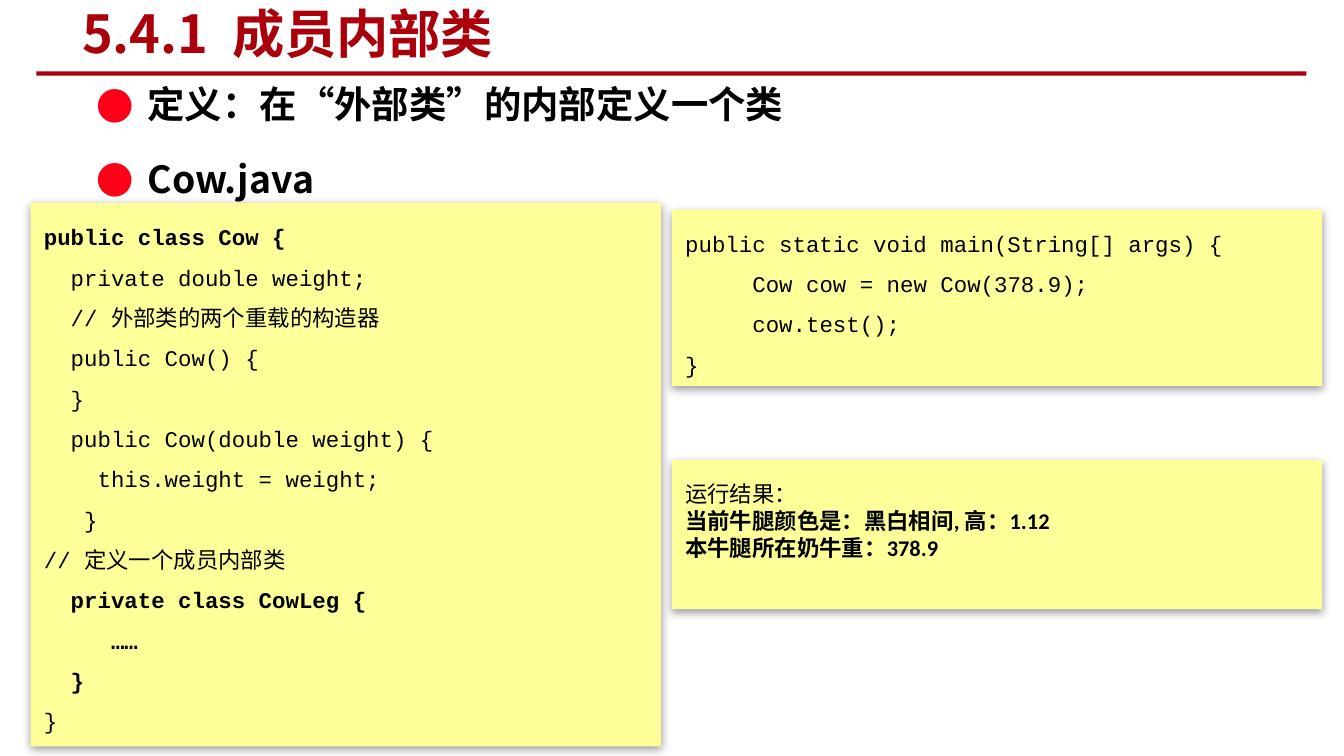
"""Builds the slide on member inner classes in Java."""
from lxml import etree
from pptx import Presentation
from pptx import util as u
from pptx.dml.color import RGBColor
from pptx.enum import shapes, text
from pptx.oxml.ns import qn

COLORS = {"accent": "AA000B", "bullet": "FF0019", "panel": "FFFF99", "ink": "000000"}
SANS, MONO, LATIN = "Noto Sans CJK SC", "Courier New", "Calibri"

TITLE = "5.4.1  成员内部类"
POINTS = ["定义：在“外部类”的内部定义一个类", "Cow.java"]
BOLD = {"bold": True}
COW_CLASS = [
    ("public class Cow {", BOLD),
    ("  private double weight;", {}),
    ("  // 外部类的两个重载的构造器", {}),
    ("  public Cow() {", {}),
    ("  }", {}),
    ("  public Cow(double weight) {", {}),
    ("    this.weight = weight;", {}),
    ("   }", {}),
    ("// 定义一个成员内部类", {}),
    ("  private class CowLeg {", BOLD),
    ("\t……", BOLD),
    ("  }", BOLD),
    ("}", {}),
]
MAIN_METHOD = [
    ("public static void main(String[] args) {", {}),
    ("\tCow cow = new Cow(378.9);", {}),
    ("\tcow.test();", {}),
    ("}", {}),
]
RESULT_FORMAT = {"font": LATIN, "bold": True, "spacing": 1.0}
RESULT = [
    ("运行结果：", {}),
    ("当前牛腿颜色是：黑白相间, 高：1.12", RESULT_FORMAT),
    ("本牛腿所在奶牛重：378.9", RESULT_FORMAT),
]
PANELS = [
    ((0.58, 3.84, 11.91, 10.26), COW_CLASS),
    ((12.7, 3.96, 12.29, 3.33), MAIN_METHOD),
    ((12.7, 8.69, 12.29, 2.82), RESULT),
]


def cm(box):
    return [u.Cm(value) for value in box]


def write(paragraph, content, font=MONO, size=12, color="ink", bold=False, spacing=1.5):
    paragraph.alignment = text.PP_ALIGN.LEFT
    paragraph.line_spacing = spacing
    run = paragraph.add_run()
    run.text = content
    run.font.name = font
    run.font.size = u.Pt(size)
    run.font.bold = bold
    run.font.color.rgb = RGBColor.from_string(COLORS[color])
    etree.SubElement(run._r.get_or_add_rPr(), qn("a:ea"), typeface=SANS)


def paragraphs(frame, count):
    frame.word_wrap = True
    return [frame.paragraphs[0]] + [frame.add_paragraph() for _ in range(count - 1)]


def add_bullet(paragraph):
    properties = paragraph._p.get_or_add_pPr()
    properties.set("marL", str(u.Cm(0.97)))
    properties.set("indent", str(-u.Cm(0.97)))
    color = etree.SubElement(properties, qn("a:buClr"))
    etree.SubElement(color, qn("a:srgbClr"), val=COLORS["bullet"])
    etree.SubElement(properties, qn("a:buFont"), typeface=SANS)
    etree.SubElement(properties, qn("a:buChar"), char="●")


def add_shadow(shape):
    effects = shape._element.spPr.find(qn("a:effectLst"))
    shadow = etree.SubElement(effects, qn("a:outerShdw"), blurRad=str(u.Pt(5)),
                              dist=str(u.Pt(1.6)), dir="5400000", rotWithShape="0")
    color = etree.SubElement(shadow, qn("a:srgbClr"), val=COLORS["ink"])
    etree.SubElement(color, qn("a:alpha"), val="38000")


def add_rectangle(slide, box, fill):
    shape = slide.shapes.add_shape(shapes.MSO_SHAPE.RECTANGLE, *cm(box))
    shape.shadow.inherit = False
    shape.fill.solid()
    shape.fill.fore_color.rgb = RGBColor.from_string(COLORS[fill])
    shape.line.fill.background()
    return shape


def add_panel(slide, box, lines):
    shape = add_rectangle(slide, box, "panel")
    add_shadow(shape)
    frame = shape.text_frame
    frame.vertical_anchor = text.MSO_ANCHOR.TOP
    for paragraph, (content, style) in zip(paragraphs(frame, len(lines)), lines):
        write(paragraph, content, **style)


def main():
    presentation = Presentation()
    presentation.slide_width, presentation.slide_height = u.Cm(25.4), u.Cm(14.28)
    slide = presentation.slides.add_slide(presentation.slide_layouts[5])

    title = slide.shapes.title
    title.left, title.top, title.width, title.height = cm((1.3, 0.05, 13.46, 1.14))
    title.text_frame.vertical_anchor = text.MSO_ANCHOR.MIDDLE
    write(title.text_frame.paragraphs[0], TITLE, font=SANS, size=28,
          color="accent", bold=True, spacing=1.0)

    add_rectangle(slide, (0.69, 1.35, 24, 0.08), "accent")

    frame = slide.shapes.add_textbox(*cm((1.57, 0.99, 22.63, 2.77))).text_frame
    for paragraph, content in zip(paragraphs(frame, len(POINTS)), POINTS):
        write(paragraph, content, font=SANS, size=20, bold=True)
        paragraph.space_before = u.Pt(4)
        add_bullet(paragraph)

    for box, lines in PANELS:
        add_panel(slide, box, lines)
    presentation.save("out.pptx")


if __name__ == "__main__":
    main()
